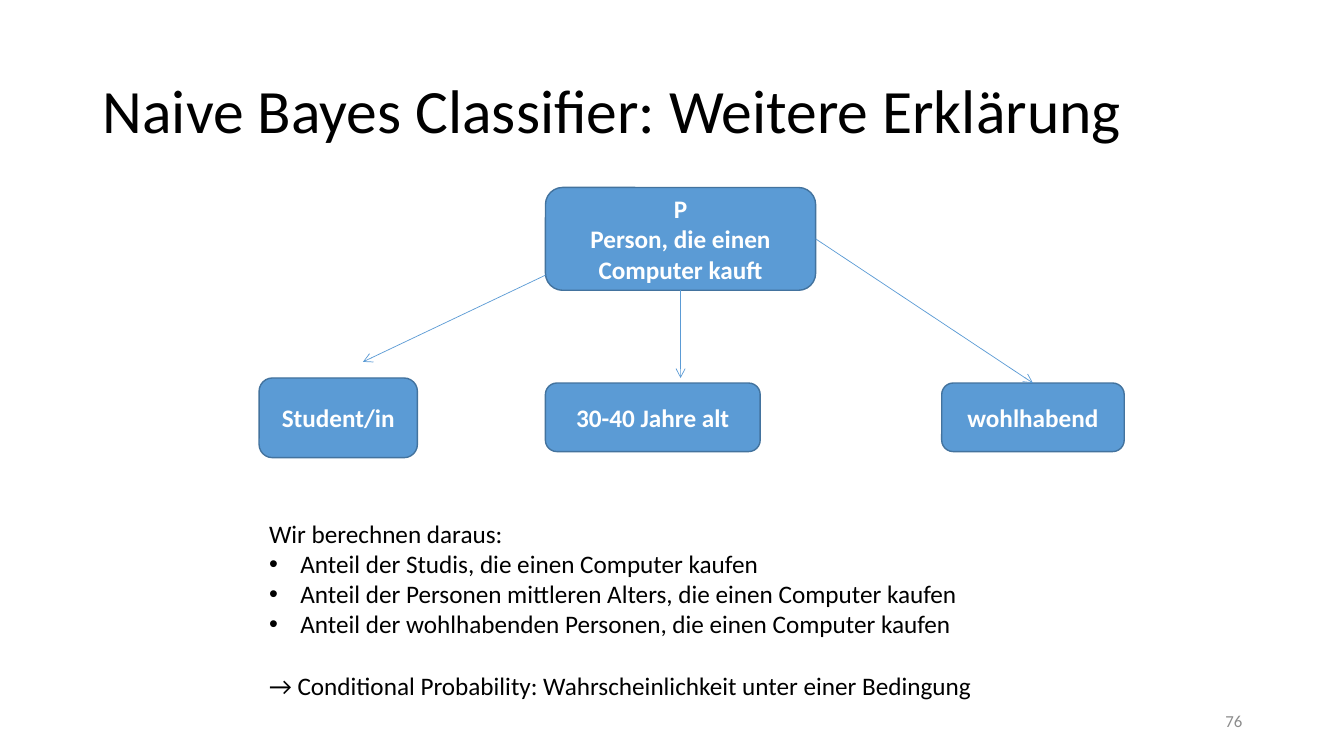
from dataclasses import dataclass

from lxml import etree
from pptx import Presentation
from pptx.dml.color import RGBColor
from pptx.enum.shapes import MSO_CONNECTOR, MSO_SHAPE
from pptx.enum.text import MSO_ANCHOR, MSO_AUTO_SIZE, PP_ALIGN
from pptx.oxml.ns import qn
from pptx.util import Emu, Pt

PX = 9144  # EMU per px, 100 px to the inch
FONT = "Calibri"
BLACK = RGBColor(0x00, 0x00, 0x00)
WHITE = RGBColor(0xFF, 0xFF, 0xFF)
BLUE = RGBColor(0x5B, 0x9B, 0xD5)
DARK_BLUE = RGBColor(0x43, 0x73, 0x9E)
GREY = RGBColor(0x8C, 0x8C, 0x8C)
ROUNDED, STRAIGHT = MSO_SHAPE.ROUNDED_RECTANGLE, MSO_CONNECTOR.STRAIGHT
LEFT, CENTER, RIGHT = PP_ALIGN.LEFT, PP_ALIGN.CENTER, PP_ALIGN.RIGHT
TOP, MIDDLE = MSO_ANCHOR.TOP, MSO_ANCHOR.MIDDLE
GROW = MSO_AUTO_SIZE.SHAPE_TO_FIT_TEXT
SITE_TOP, SITE_BOTTOM, SITE_RIGHT = 0, 2, 3


@dataclass(frozen=True)
class Area:
    left: int
    top: int
    width: int
    height: int

    def emu(self) -> list[Emu]:
        return [px(n) for n in (self.left, self.top, self.width, self.height)]


@dataclass(frozen=True)
class Node:
    name: str
    lines: tuple[str, ...]
    area: Area


@dataclass(frozen=True)
class Arrow:
    start: tuple[int, int]
    end: tuple[int, int]
    source: tuple[str, int] | None = None
    target: tuple[str, int] | None = None


@dataclass(frozen=True)
class Line:
    text: str
    bullet: bool = False
    space_before: int = 0


NODES = (
    Node("person", ("P", "Person, die einen Computer kauft"), Area(541, 186, 268, 102)),
    Node("student", ("Student/in",), Area(257, 375, 157, 79)),
    Node("age", ("30-40 Jahre alt",), Area(541, 380, 213, 68)),
    Node("wealthy", ("wohlhabend",), Area(934, 380, 181, 68)),
)
ARROWS = (
    Arrow((541, 273), (360, 359)),
    Arrow((675, 288), (675, 375), source=("person", SITE_BOTTOM)),
    Arrow((809, 237), (1025, 380), ("person", SITE_RIGHT), ("wealthy", SITE_TOP)),
)
CONCLUSIONS = (
    Line("Wir berechnen daraus:"),
    Line("Anteil der Studis, die einen Computer kaufen", bullet=True),
    Line("Anteil der Personen mittleren Alters, die einen Computer kaufen", bullet=True),
    Line("Anteil der wohlhabenden Personen, die einen Computer kaufen", bullet=True),
    Line("→ Conditional Probability: Wahrscheinlichkeit unter einer Bedingung", space_before=22),
)


def px(length: int) -> Emu:
    return Emu(length * PX)


def add_span(para, text: str, size: int, color: RGBColor, bold: bool = False) -> None:
    span = para.add_run()
    span.text = text
    span.font.name = FONT
    span.font.size = Pt(size)
    span.font.bold = bold
    span.font.color.rgb = color


def add_bullet(para) -> None:
    properties = para._p.get_or_add_pPr()
    properties.set("marL", str(px(31)))
    properties.set("indent", str(px(-31)))
    etree.SubElement(properties, qn("a:buFont")).set("typeface", "Arial")
    etree.SubElement(properties, qn("a:buChar")).set("char", "•")


def add_text(page, area: Area, lines: tuple[Line, ...], size: int, color: RGBColor,
             align=LEFT, anchor=MIDDLE, wrap: bool = True, spacing: float = 1.0) -> None:
    frame = page.shapes.add_textbox(*area.emu()).text_frame
    frame.word_wrap = wrap
    frame.vertical_anchor = anchor
    if not wrap:
        frame.auto_size = GROW
    for index, line in enumerate(lines):
        para = frame.add_paragraph() if index else frame.paragraphs[0]
        para.alignment = align
        para.line_spacing = spacing
        if line.space_before:
            para.space_before = Pt(line.space_before)
        if line.bullet:
            add_bullet(para)
        add_span(para, line.text, size, color)


def add_node(page, node: Node):
    box = page.shapes.add_shape(ROUNDED, *node.area.emu())
    box.shadow.inherit = False
    box.fill.solid()
    box.fill.fore_color.rgb = BLUE
    box.line.color.rgb = DARK_BLUE
    box.line.width = Pt(1)
    frame = box.text_frame
    frame.word_wrap = True
    frame.vertical_anchor = MIDDLE
    para = frame.paragraphs[0]
    para.alignment = CENTER
    for index, text in enumerate(node.lines):
        if index:
            para.add_line_break()
        add_span(para, text, 18, WHITE, bold=True)
    return box


def add_arrow(page, arrow: Arrow, boxes: dict) -> None:
    ends = [px(n) for n in arrow.start + arrow.end]
    connector = page.shapes.add_connector(STRAIGHT, *ends)
    if arrow.source:
        name, site = arrow.source
        connector.begin_connect(boxes[name], site)
    if arrow.target:
        name, site = arrow.target
        connector.end_connect(boxes[name], site)
    connector.line.color.rgb = BLUE
    connector.line.width = Pt(0.5)
    etree.SubElement(connector.line._get_or_add_ln(), qn("a:tailEnd")).set("type", "arrow")
    etree.SubElement(connector._element.spPr, qn("a:effectLst"))


def main() -> None:
    deck = Presentation()
    deck.slide_width, deck.slide_height = px(1333), px(750)
    page = deck.slides.add_slide(deck.slide_layouts[6])

    # Title
    title = Line("Naive Bayes Classifier: Weitere Erklärung")
    add_text(page, Area(92, 40, 1150, 145), (title,), 44, BLACK, spacing=0.9)

    # Diagram: a person and three attributes
    boxes = {node.name: add_node(page, node) for node in NODES}
    for arrow in ARROWS:
        add_arrow(page, arrow, boxes)

    # Conclusions and page number
    add_text(page, Area(257, 509, 725, 192), CONCLUSIONS, 18, BLACK, anchor=TOP, wrap=False)
    add_text(page, Area(942, 695, 300, 40), (Line("76"),), 12, GREY, align=RIGHT)

    deck.save("out.pptx")


if __name__ == "__main__":
    main()
